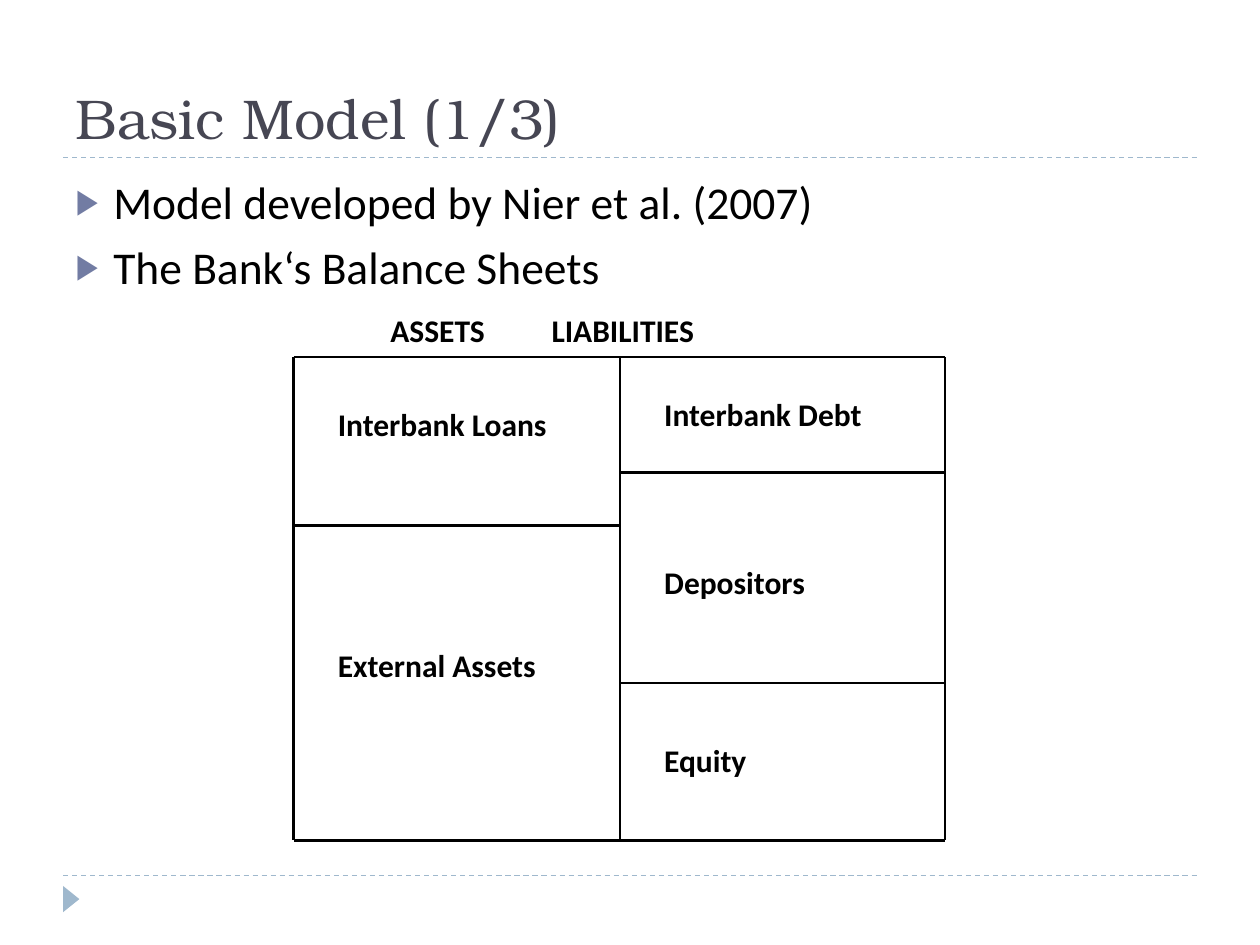
from typing import NamedTuple

from lxml import etree
from pptx import Presentation
from pptx.dml.color import RGBColor
from pptx.enum.dml import MSO_LINE
from pptx.enum.shapes import MSO_CONNECTOR, MSO_SHAPE
from pptx.enum.text import MSO_ANCHOR, MSO_AUTO_SIZE, PP_ALIGN
from pptx.oxml.ns import qn
from pptx.util import Cm, Pt

STRAIGHT = MSO_CONNECTOR.STRAIGHT
TRIANGLE = MSO_SHAPE.ISOSCELES_TRIANGLE
DASH = MSO_LINE.DASH
BOTTOM, TOP = MSO_ANCHOR.BOTTOM, MSO_ANCHOR.TOP
LEFT_ALIGNED = PP_ALIGN.LEFT
NO_FIT, GROW = MSO_AUTO_SIZE.NONE, MSO_AUTO_SIZE.SHAPE_TO_FIT_TEXT

BLACK, ACCENT, BULLET, HEADING = "000000", "9FB8CD", "727CA3", "464653"
BODY_FONT, TITLE_FONT = "Calibri", "TeX Gyre Bonum"
LEFT, MIDDLE, RIGHT = 5.92, 12.5, 19.05
UPPER, LOWER = 7.2, 16.94
MARGIN, PAGE_WIDTH = 1.27, 25.4


class Rule(NamedTuple):
    x1: float
    y1: float
    x2: float
    y2: float


class Label(NamedTuple):
    text: str
    left: float
    top: float
    width: float
    height: float


def color(value: str) -> RGBColor:
    return RGBColor.from_string(value)


def format_runs(frame, font: str, size: float, shade: str, bold: bool = False) -> None:
    for para in frame.paragraphs:
        for span in para.runs:
            span.font.name = font
            span.font.size = Pt(size)
            span.font.bold = bold
            span.font.color.rgb = color(shade)


def place(shape, left: float, top: float, width: float, height: float) -> None:
    shape.left, shape.top = Cm(left), Cm(top)
    shape.width, shape.height = Cm(width), Cm(height)


def draw_rule(page, rule: Rule, shade: str, weight: float, dash=None) -> None:
    line = page.shapes.add_connector(STRAIGHT, *(Cm(value) for value in rule))
    line.line.color.rgb = color(shade)
    line.line.width = Pt(weight)
    if dash is not None:
        line.line.dash_style = dash
    etree.SubElement(line._element.spPr, qn("a:effectLst"))


def draw_label(page, label: Label):
    box = page.shapes.add_textbox(*(Cm(value) for value in label[1:]))
    frame = box.text_frame
    frame.word_wrap = True
    frame.auto_size = GROW
    frame.text = label.text
    format_runs(frame, BODY_FONT, 18, BLACK, bold=True)
    return box


def add_bullet(para) -> None:
    para.space_before = Pt(6)
    properties = para._p.get_or_add_pPr()
    properties.set("marL", str(Cm(0.76)))
    properties.set("indent", str(Cm(-0.76)))
    shade = etree.SubElement(properties, qn("a:buClr"))
    etree.SubElement(shade, qn("a:srgbClr"), val=BULLET)
    etree.SubElement(properties, qn("a:buSzPct"), val="76000")
    etree.SubElement(properties, qn("a:buChar"), char="▶")


def add_tab_stop(para, position: float) -> None:
    stops = etree.SubElement(para._p.get_or_add_pPr(), qn("a:tabLst"))
    etree.SubElement(stops, qn("a:tab"), pos=str(Cm(position)), algn="l")


deck = Presentation()
deck.slide_width, deck.slide_height = Cm(PAGE_WIDTH), Cm(19.05)
page = deck.slides.add_slide(deck.slide_layouts[1])

title = page.shapes.title
place(title, MARGIN, 0.43, PAGE_WIDTH - 2 * MARGIN, 2.74)
title.text_frame.text = "Basic Model (1/3)"
title.text_frame.vertical_anchor = BOTTOM
title.text_frame.auto_size = NO_FIT
title.text_frame.paragraphs[0].alignment = LEFT_ALIGNED
format_runs(title.text_frame, TITLE_FONT, 32, HEADING)

body = page.placeholders[1]
place(body, MARGIN, 3.38, PAGE_WIDTH - 2 * MARGIN, 13.72)
body.text_frame.text = "Model developed by Nier et al. (2007)\nThe Bank‘s Balance Sheets"
body.text_frame.vertical_anchor = TOP
body.text_frame.auto_size = NO_FIT
format_runs(body.text_frame, BODY_FONT, 26, BLACK)
for para in body.text_frame.paragraphs:
    add_bullet(para)

for height in (3.18, 17.65):
    draw_rule(page, Rule(MARGIN, height, PAGE_WIDTH - MARGIN, height), ACCENT, 0.75, DASH)

marker = page.shapes.add_shape(TRIANGLE, Cm(1.17), Cm(17.96), Cm(0.53), Cm(0.33))
marker.rotation = 90
marker.shadow.inherit = False
marker.fill.solid()
marker.fill.fore_color.rgb = color(ACCENT)
marker.line.fill.background()

balance_rules = [Rule(x, UPPER, x, LOWER) for x in (LEFT, MIDDLE, RIGHT)]
balance_rules += [Rule(LEFT, y, RIGHT, y) for y in (UPPER, LOWER)]
balance_rules += [Rule(MIDDLE, y, RIGHT, y) for y in (9.53, 13.77)]
balance_rules.append(Rule(LEFT, 10.59, MIDDLE, 10.59))
for rule in balance_rules:
    draw_rule(page, rule, BLACK, 1.5)

ASSET_LEFT, LIABILITY_LEFT = LEFT + 0.64, MIDDLE + 0.64
for label in (
    Label("External Assets", ASSET_LEFT, 12.9, 5.08, 1.02),
    Label("Interbank Loans", ASSET_LEFT, 8.04, 5.5, 3.33),
    Label("Interbank Debt", LIABILITY_LEFT, 7.83, 5.08, 1.8),
    Label("Depositors", LIABILITY_LEFT, 11.22, 5.5, 1.8),
    Label("Equity", LIABILITY_LEFT, 14.81, 5.5, 1.8),
):
    draw_label(page, label)

header = draw_label(page, Label("ASSETS\tLIABILITIES", 7.62, 6.14, 12.7, 1.8))
add_tab_stop(header.text_frame.paragraphs[0], 3.25)

deck.save("out.pptx")
